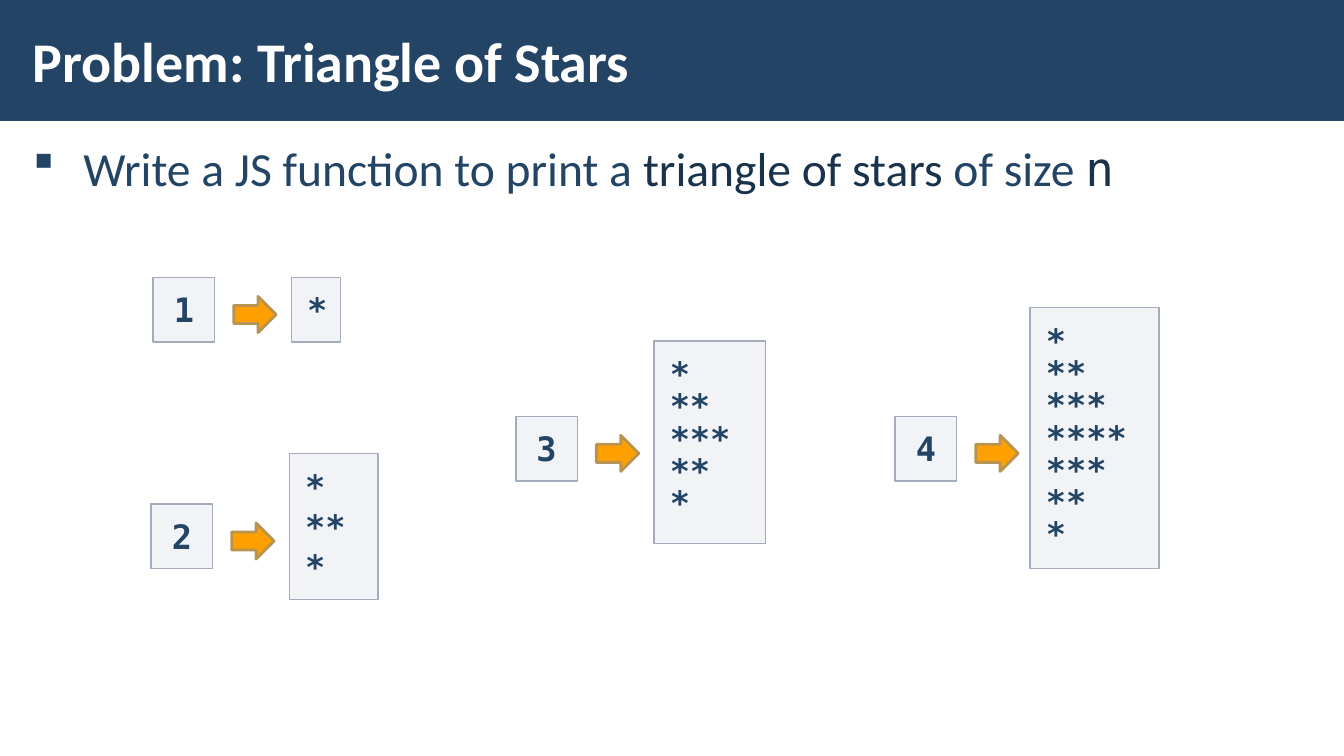
from lxml import etree
from pptx import Presentation
from pptx.dml.color import RGBColor
from pptx.enum.shapes import MSO_SHAPE
from pptx.enum.text import MSO_ANCHOR, PP_ALIGN
from pptx.oxml.ns import qn
from pptx.util import Cm, Pt

RECTANGLE = MSO_SHAPE.RECTANGLE
RIGHT_ARROW = MSO_SHAPE.RIGHT_ARROW
TOP, MIDDLE = MSO_ANCHOR.TOP, MSO_ANCHOR.MIDDLE
LEFT, CENTER = PP_ALIGN.LEFT, PP_ALIGN.CENTER

BODY_FONT, CODE_FONT = "Calibri", "DejaVu Sans Mono"
NAVY, DARK_NAVY, WHITE = "234465", "1A334C", "FFFFFF"
BOX_FILL, BOX_LINE = "C2C7D2", "A3ABBC"
ARROW_FILL, ARROW_LINE = "FFA000", "B79451"

# size n, corner of the input box, output box (left, top, width, height), in cm
EXAMPLES = [
    (1, (3.86, 6.99), (7.34, 6.99, 1.24, 1.63)),
    (2, (3.81, 12.7), (7.29, 11.43, 2.24, 3.68)),
    (3, (13.0, 10.49), (16.48, 8.59, 2.82, 5.11)),
    (4, (22.56, 10.49), (25.96, 7.75, 3.25, 6.58)),
]


def color(hex_string):
    return RGBColor.from_string(hex_string)


def style_span(span, font, size, hex_string, bold=False):
    span.font.name = font
    span.font.size = Pt(size)
    span.font.bold = bold
    span.font.color.rgb = color(hex_string)


def set_margins(frame, side, edge):
    frame.margin_left = frame.margin_right = Cm(side)
    frame.margin_top = frame.margin_bottom = Cm(edge)


def add_shape(slide, kind, box, fill, line=None, line_width=1):
    shape = slide.shapes.add_shape(kind, *map(Cm, box))
    shape.shadow.inherit = False
    shape.fill.solid()
    shape.fill.fore_color.rgb = color(fill)
    if line:
        shape.line.color.rgb = color(line)
        shape.line.width = Pt(line_width)
    else:
        shape.line.fill.background()
    return shape


def add_text_box(slide, box, anchor):
    frame = slide.shapes.add_textbox(*map(Cm, box)).text_frame
    frame.word_wrap = True
    frame.vertical_anchor = anchor
    set_margins(frame, 0.3, 0.1)
    return frame


def add_header(slide, box):
    left, top, width, height = box
    add_shape(slide, RECTANGLE, box, NAVY)
    frame = add_text_box(
        slide, (left + 0.53, top + 0.28, 26.42, height - 0.58), MIDDLE)
    frame.text = "Problem: Triangle of Stars"
    style_span(frame.paragraphs[0].runs[0], BODY_FONT, 40, WHITE, True)


def add_task(slide, box):
    """Place the bulleted task statement."""
    para = add_text_box(slide, box, TOP).paragraphs[0]
    para.line_spacing = 1.05
    para.space_before = para.space_after = Pt(6)
    for text, font, hex_string in [
        ("Write a JS function to print a ", BODY_FONT, NAVY),
        ("triangle of stars ", BODY_FONT, DARK_NAVY),
        ("of size ", BODY_FONT, NAVY),
        ("n", CODE_FONT, DARK_NAVY),
    ]:
        span = para.add_run()
        span.text = text
        style_span(span, font, 34, hex_string)
    properties = para._p.get_or_add_pPr()
    properties.set("marL", str(Cm(1.27)))
    properties.set("indent", str(-Cm(1.27)))
    etree.SubElement(properties, qn("a:buFont")).set("typeface", "Wingdings")
    etree.SubElement(properties, qn("a:buChar")).set("char", "§")


def add_code_box(slide, box, lines, align, spacing=1.0):
    """Place a translucent box; spacing applies after its first paragraph."""
    shape = add_shape(slide, RECTANGLE, box, BOX_FILL, BOX_LINE)
    fill_color = shape.fill._xPr.find(qn("a:solidFill"))[0]
    etree.SubElement(fill_color, qn("a:alpha")).set("val", "20000")
    frame = shape.text_frame
    frame.word_wrap = True
    frame.vertical_anchor = TOP
    set_margins(frame, 0.4, 0.3)
    frame.text = lines[0]
    for line in lines[1:]:
        para = frame.add_paragraph()
        para.text = line
        para.line_spacing = spacing
    for para in frame.paragraphs:
        para.alignment = align
        for span in para.runs:
            style_span(span, CODE_FONT, 24, NAVY, True)


def triangle(size):
    """Return the paragraphs of the triangle, its growing rows in one."""
    growing = ["*" * count for count in range(2, size + 1)]
    shrinking = ["*" * count for count in range(size - 1, 0, -1)]
    return ["*"] + (["\v".join(growing)] if growing else []) + shrinking


def add_example(slide, size, corner, output_box):
    left, top = corner
    add_code_box(slide, (left, top, 1.55, 1.63), [str(size)], CENTER)
    add_shape(slide, RIGHT_ARROW, (left + 2.03, top + 0.48, 1.07, 0.91),
              ARROW_FILL, ARROW_LINE, 2)
    add_code_box(slide, output_box, triangle(size), LEFT,
                 0.8 if size > 2 else 1.0)


def main():
    deck = Presentation()
    deck.slide_width, deck.slide_height = Cm(33.87), Cm(19.05)
    slide = deck.slides.add_slide(deck.slide_layouts[6])
    add_header(slide, (0, 0, 33.87, 3.05))
    add_task(slide, (0.53, 3.33, 32.82, 14.45))
    for size, corner, output_box in EXAMPLES:
        add_example(slide, size, corner, output_box)
    deck.save("out.pptx")


if __name__ == "__main__":
    main()
